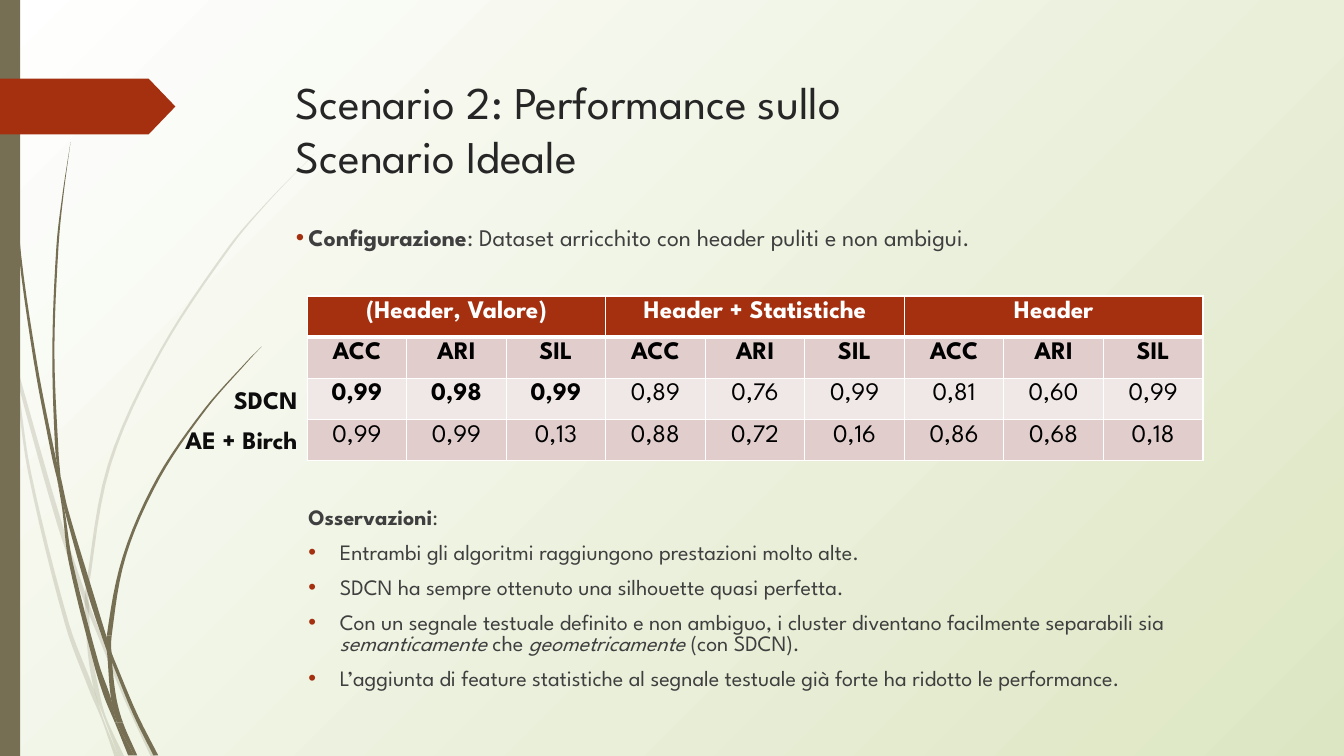
from itertools import pairwise

from lxml import etree
from pptx import Presentation
from pptx import util as u
from pptx.dml.color import RGBColor
from pptx.enum import shapes, text
from pptx.oxml import ns

COLORS = {
    "olive": "766F54", "rust": "A53010", "mist": "DDE6C3", "white": "FFFFFF", "heading": "262626",
    "body": "3F3F3F", "label": "0D0D0D", "black": "000000", "band": "E1CDCC", "light": "F0E8E7",
}

PALE_BLADES = [
    ((2, 6), [(203, 0, 0), (215, 0, 2.5), (252, 7.5, 10), (271, 12, 14.7), (375, 41, 44.6),
              (431, 60.5, 63.5), (439, 63.7, 66.5), (499, 88.6, 91.4), (541, 108, 111.6)]),
    ((5,), [(252, 8, 8), (271, 11, 12.2), (338, 20.2, 22.3), (446, 46.5, 49.5),
            (492, 63.4, 67), (514, 72.7, 74), (541, 82, 85)]),
    ((5, 6, 9), [(110, 224.6, 224.6), (142, 193, 193.7), (176, 163.4, 165.2), (251, 113.8, 115.6),
                 (332, 77, 79.2), (420, 61.2, 63.4), (431, 60.5, 63.4), (465, 62.6, 65.5),
                 (492, 67, 70.5), (512, 74, 75.6), (541, 85, 89)]),
]
DARK_BLADES = [
    ((4, 7), [(0, 2, 3), (168, 12.2, 13.7), (256, 23.8, 25.9), (326, 37, 39.6), (343, 41, 43.9),
              (364, 46, 48.6), (425, 63, 67), (464, 76, 79), (472, 79.5, 82), (510, 95, 98),
              (539.5, 109.5, 113)]),
    ((5,), [(343, 41, 41), (364, 44.5, 46), (401, 49, 51.8), (474, 67, 70.6), (498, 74.5, 79),
            (516, 82, 83.5), (539.5, 91.5, 95.8)]),
    ((4,), [(101.5, 50.4, 50.4), (139, 44.6, 45.4), (176, 40.3, 41.8), (251, 37.4, 38.9),
            (323, 39.6, 41.8), (340, 42.5, 43.2)]),
    ((5, 6, 8), [(247.5, 187, 187), (258, 176.4, 177.2), (292, 146, 147.6), (341, 112.3, 114.4),
                 (397, 87.8, 90), (454, 76.3, 79.8), (472, 77, 80), (498, 79.2, 83),
                 (516, 83.5, 87.8), (539.5, 95.8, 98)]),
]

FEATURE_SETS = ["(Header, Valore)", "Header + Statistiche", "Header"]
SCORES = [
    ["ACC", "ARI", "SIL"] * 3,
    "0,99 0,98 0,99 0,89 0,76 0,99 0,81 0,60 0,99".split(),
    "0,99 0,99 0,13 0,88 0,72 0,16 0,86 0,68 0,18".split(),
]
CONFIGURATION = [[("Configurazione", "b"),
                  (": Dataset arricchito con header puliti e non ambigui.", "")]]
OBSERVATIONS = [
    [("Osservazioni", "b"), (":", "")],
    [("Entrambi gli algoritmi raggiungono prestazioni molto alte.", "")],
    [("SDCN ha sempre ottenuto una silhouette quasi perfetta.", "")],
    [("Con un segnale testuale definito e non ambiguo, i cluster diventano "
      "facilmente separabili sia ", ""), ("semanticamente", "i"), (" che ", ""),
     ("geometricamente ", "i"), ("(con SDCN).", "")],
    [("L’aggiunta di feature statistiche al segnale testuale già forte ha ridotto "
      "le performance.", "")],
]
STEPS = 6


def smooth_edge(knots, side):
    points = [(k[side], k[0]) for k in knots]
    slopes = [(b[0] - a[0]) / (b[1] - a[1])
              for a, b in zip(points[:1] + points[:-1], points[1:] + points[-1:])]
    edge = []
    for ((x0, y0), m0), ((x1, y1), m1) in pairwise(zip(points, slopes)):
        for t in (step / STEPS for step in range(STEPS)):
            x = (x0 + (x1 - x0) * t * t * (3 - 2 * t)
                 + (y1 - y0) * t * (1 - t) * (m0 * (1 - t) - m1 * t))
            edge.append((u.Pt(x), u.Pt(y0 + (y1 - y0) * t)))
    return edge + [tuple(map(u.Pt, points[-1]))]


class Deck:
    """Hold the style and the current slide, and draw each kind of element."""

    font_name = "League Spartan"

    def __init__(self, slide):
        self.slide = slide

    def color(self, name):
        return RGBColor.from_string(COLORS[name])

    def style(self, font, size, color, bold=False, italic=False):
        font.name, font.size, font.bold, font.italic = self.font_name, u.Pt(size), bold, italic
        font.color.rgb = self.color(color)

    def background(self, *names):
        fill = self.slide.background.fill
        fill.gradient()
        fill.gradient_angle = 135
        for position, (stop, name) in enumerate(zip(fill.gradient_stops, names)):
            stop.color.rgb, stop.position = self.color(name), position

    def paint(self, shape, color, alpha=100):
        shape.shadow.inherit = False
        shape.line.fill.background()
        shape.fill.solid()
        shape.fill.fore_color.rgb = self.color(color)
        if alpha < 100:
            for node in shape._element.spPr.iter(ns.qn("a:srgbClr")):
                etree.SubElement(node, ns.qn("a:alpha"), val=str(alpha * 1000))

    def blade(self, seams, knots, color, alpha=100):
        left, right = smooth_edge(knots, 1), smooth_edge(knots, 2)
        for first, last in pairwise((0, *seams, len(knots) - 1)):
            part = slice(first * STEPS, last * STEPS + 1)
            outline = left[part] + right[part][::-1]
            builder = self.slide.shapes.build_freeform(*outline[0], scale=1.0)
            builder.add_line_segments(outline[1:], close=True)
            self.paint(builder.convert_to_shape(), color, alpha)

    def block(self, kind, box, color):
        shape = self.slide.shapes.add_shape(kind, *map(u.Pt, box))
        self.paint(shape, color)
        return shape

    def title(self, wording, box, size):
        heading = self.slide.shapes.title
        heading.left, heading.top, heading.width, heading.height = map(u.Pt, box)
        frame = heading.text_frame
        frame.text = wording
        frame.word_wrap, frame.auto_size = True, text.MSO_AUTO_SIZE.NONE
        frame.vertical_anchor = text.MSO_ANCHOR.TOP
        frame.paragraphs[0].alignment = text.PP_ALIGN.LEFT
        for run in frame.paragraphs[0].runs:
            self.style(run.font, size, "heading")

    def bullet(self, paragraph, margin, hanging):
        props = paragraph._p.get_or_add_pPr()
        props.set("marL", str(u.Pt(margin)))
        props.set("indent", str(u.Pt(-hanging)))
        if hanging:
            tint = etree.SubElement(props, ns.qn("a:buClr"))
            etree.SubElement(tint, ns.qn("a:srgbClr"), val=COLORS["rust"])
            etree.SubElement(props, ns.qn("a:buFont"), typeface="Arial")
            etree.SubElement(props, ns.qn("a:buChar"), char="•")

    def textbox(self, paragraphs, box, size, color, spacing=1.0, indents=(), align=None):
        frame = self.slide.shapes.add_textbox(*map(u.Pt, box)).text_frame
        frame.word_wrap = True
        for i, pieces in enumerate(paragraphs):
            paragraph = frame.add_paragraph() if i else frame.paragraphs[0]
            paragraph.alignment, paragraph.line_spacing = align, spacing
            if i:
                paragraph.space_before = u.Pt(10)
            if indents:
                self.bullet(paragraph, *indents[min(i, len(indents) - 1)])
            for wording, marks in pieces:
                run = paragraph.add_run()
                run.text = wording
                self.style(run.font, size, color, "b" in marks, "i" in marks)

    def cell(self, cell, wording, fill, color, bold, bottom=1):
        cell.text = wording
        paragraph = cell.text_frame.paragraphs[0]
        paragraph.alignment = text.PP_ALIGN.CENTER
        for run in paragraph.runs:
            self.style(run.font, 18, color, bold)
        props = cell._tc.get_or_add_tcPr()
        for side, width in zip("LRTB", (1, 1, 1, bottom)):
            line = etree.SubElement(props, ns.qn("a:ln" + side), w=str(u.Pt(width)))
            solid = etree.SubElement(line, ns.qn("a:solidFill"))
            etree.SubElement(solid, ns.qn("a:srgbClr"), val=COLORS["white"])
        cell.fill.solid()
        cell.fill.fore_color.rgb = self.color(fill)

    def score_table(self, box):
        table = self.slide.shapes.add_table(4, 9, *map(u.Pt, box)).table
        table.first_row = table.horz_banding = False
        for column in range(9):
            group, offset = divmod(column, 3)
            self.cell(table.cell(0, column), "" if offset else FEATURE_SETS[group],
                      "rust", "white", True, bottom=3)
            for row, values in enumerate(SCORES, 1):
                self.cell(table.cell(row, column), values[column], "light" if row == 2 else "band",
                          "black", row == 1 or (row == 2 and group == 0))
        for first in range(0, 9, 3):
            table.cell(0, first).merge(table.cell(0, first + 2))


prs = Presentation()
prs.slide_width, prs.slide_height = u.Pt(960), u.Pt(540)
deck = Deck(prs.slides.add_slide(prs.slide_layouts[5]))
deck.background("mist", "white")
for blades, alpha in ((PALE_BLADES, 20), (DARK_BLADES, 100)):
    for seams, knots in blades:
        deck.blade(seams, knots, "olive", alpha)
deck.block(shapes.MSO_SHAPE.RECTANGLE, (0, 0, 14.4, 540), "olive")
banner = deck.block(shapes.MSO_SHAPE.PENTAGON, (0, 56.2, 125.3, 39.8), "rust")
banner.adjustments[0] = 0.48
deck.title("Scenario 2: Performance sullo \vScenario Ideale", (204.2, 49, 701, 55.4), 32.4)
deck.textbox(CONFIGURATION, (204.2, 155.5, 701, 36.7), 17, "body", indents=[(9, 9)])
deck.score_table((219.4, 211.5, 640, 117.4))
for name, top in (("SDCN", 270.7), ("AE + Birch", 299.5)):
    deck.textbox([[(name, "b")]], (106.6, top, 113, 28.8), 18, "label", align=text.PP_ALIGN.RIGHT)
deck.textbox(OBSERVATIONS, (204.2, 359.6, 701, 162), 15.7, "body", spacing=0.8,
             indents=[(9, 0), (31.5, 22.5)])
prs.save("out.pptx")
